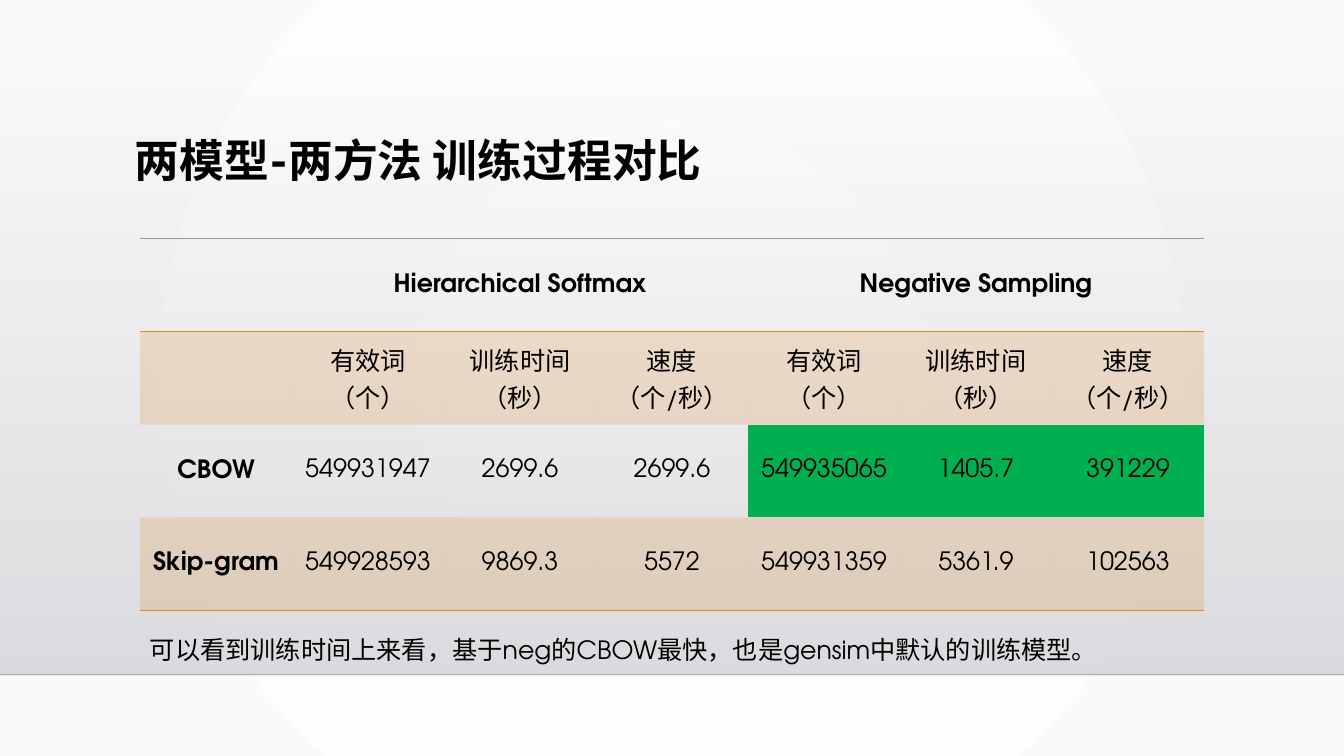
from lxml import etree
from pptx import Presentation
from pptx import util as u
from pptx.dml.color import RGBColor
from pptx.enum import shapes, text
from pptx.oxml import parse_xml
from pptx.oxml.ns import nsdecls, qn

BLACK = RGBColor(0x00, 0x00, 0x00)
HORIZON = RGBColor(0x00, 0x00, 0x01)
WHITE = RGBColor(0xFF, 0xFF, 0xFF)
PAPER = RGBColor(0xFA, 0xFA, 0xFA)
MIST = RGBColor(0xDC, 0xDC, 0xE0)
MIST_DEEP = RGBColor(0xDE, 0xDE, 0xE2)
GREY = RGBColor(0x99, 0x99, 0x99)
ORANGE = RGBColor(0xDF, 0x88, 0x22)
GREEN = RGBColor(0x00, 0xB0, 0x50)

WIDTH, HEIGHT = 33.87, 19.05
PLAIN_TABLE = "{2D5ABB26-0587-4C30-8999-92F81FD0307C}"
CIRCLE = ('<a:path path="circle"><a:fillToRect l="50000" t="50000" '
          'r="50000" b="50000"/></a:path>')
DOWNWARD = '<a:lin ang="5400000" scaled="0"/>'


def set_alpha(fill_parent, percent):
    color = next(fill_parent.iter(qn("a:srgbClr")))
    etree.SubElement(color, qn("a:alpha"), val=str(percent * 1000))


class SlideBuilder:
    font = "TeX Gyre Adventor"
    size = 18

    def __init__(self, prs):
        self.slide = prs.slides.add_slide(prs.slide_layouts[6])

    def style(self, frame, size=None, bold=False):
        for paragraph in frame.paragraphs:
            for run in paragraph.runs:
                run.font.name = self.font
                run.font.size = u.Pt(size or self.size)
                run.font.bold = bold
                run.font.color.rgb = BLACK

    def gradient(self, fill, parent, start, end, direction, start_alpha=100):
        """Replace the fill of parent with a two-stop gradient."""
        fill.solid()
        solid = parent.find(qn("a:solidFill"))
        parent.replace(solid, parse_xml(
            f'<a:gradFill {nsdecls("a")} rotWithShape="1"><a:gsLst>'
            f'<a:gs pos="0"><a:srgbClr val="{start}">'
            f'<a:alpha val="{start_alpha * 1000}"/></a:srgbClr></a:gs>'
            f'<a:gs pos="100000"><a:srgbClr val="{end}"/></a:gs>'
            f'</a:gsLst>{direction}</a:gradFill>'))

    def background(self, start, end):
        fill = self.slide.background.fill
        fill.solid()
        parent = next(self.slide.element.iter(qn("p:bgPr")))
        self.gradient(fill, parent, start, end, CIRCLE)

    def wall(self, top, height):
        wall = self.slide.shapes.add_shape(
            shapes.MSO_SHAPE.RECTANGLE, 0, u.Cm(top), u.Cm(WIDTH), u.Cm(height))
        wall.shadow.inherit = False
        wall.line.fill.background()
        self.gradient(wall.fill, wall.element.spPr, MIST, MIST_DEEP, DOWNWARD, 0)

    def rule(self, y):
        rule = self.slide.shapes.add_connector(
            shapes.MSO_CONNECTOR.STRAIGHT, 0, u.Cm(y), u.Cm(WIDTH), u.Cm(y))
        rule.line.color.rgb = HORIZON
        rule.line.width = u.Pt(1)
        properties = rule.element.spPr
        set_alpha(properties, 20)
        etree.SubElement(properties, qn("a:effectLst"))

    def textbox(self, words, left, top, width, height, size=None, bold=False,
                anchor=text.MSO_ANCHOR.TOP, spacing=None):
        box = self.slide.shapes.add_textbox(
            u.Cm(left), u.Cm(top), u.Cm(width), u.Cm(height))
        frame = box.text_frame
        frame.word_wrap = True
        frame.vertical_anchor = anchor
        frame.text = words
        frame.paragraphs[0].line_spacing = spacing
        self.style(frame, size, bold)
        return frame

    def table(self, rows, left, top, column_width, row_height):
        count = len(rows[0])
        table = self.slide.shapes.add_table(
            len(rows), count, u.Cm(left), u.Cm(top),
            u.Cm(column_width * count), u.Cm(row_height * len(rows))).table
        next(table._tbl.iter(qn("a:tableStyleId"))).text = PLAIN_TABLE
        for column in table.columns:
            column.width = u.Cm(column_width)
        for row in table.rows:
            row.height = u.Cm(row_height)
        for r, row in enumerate(rows):
            for c, words in enumerate(row):
                self.cell(table.cell(r, c), words, bold=r == 0 or c == 0)
        return table

    def cell(self, cell, words, bold):
        cell.vertical_anchor = text.MSO_ANCHOR.MIDDLE
        cell.fill.background()
        if words:
            cell.text = words
            self.style(cell.text_frame, bold=bold)
            for paragraph in cell.text_frame.paragraphs:
                paragraph.alignment = text.PP_ALIGN.CENTER

    def border(self, row, side, color):
        for position, cell in enumerate(row.cells):
            properties = cell._tc.get_or_add_tcPr()
            line = parse_xml(
                f'<a:{side} {nsdecls("a")} w="12700"><a:solidFill>'
                f'<a:srgbClr val="{color}"/></a:solidFill></a:{side}>')
            # Borders stand before the fill
            properties.insert(len(properties) - 1, line)

    def shade(self, cells, color, alpha=None):
        for cell in cells:
            cell.fill.solid()
            cell.fill.fore_color.rgb = color
            if alpha:
                set_alpha(cell._tc.tcPr.find(qn("a:solidFill")), alpha)


def main():
    prs = Presentation()
    prs.slide_width, prs.slide_height = u.Cm(WIDTH), u.Cm(HEIGHT)
    page = SlideBuilder(prs)

    # Backdrop
    page.background(WHITE, PAPER)
    page.wall(1.3, 15.7)
    page.rule(17)

    # Title
    page.textbox("两模型-两方法 训练过程对比", 3.15, 2.64, 26.67, 2.92, size=32,
                 bold=True, anchor=text.MSO_ANCHOR.MIDDLE, spacing=0.9)

    # Training comparison
    measures = ["有效词\n（个）", "训练时间（秒）", "速度\n（个/秒）"]
    comparison = page.table([
        ["", "Hierarchical Softmax", "", "", "Negative Sampling", "", ""],
        [""] + measures * 2,
        ["CBOW", "549931947", "2699.6", "2699.6", "549935065", "1405.7", "391229"],
        ["Skip-gram", "549928593", "9869.3", "5572", "549931359", "5361.9", "102563"],
    ], 3.53, 6.02, 3.83, 2.34)
    for first in (1, 4):
        comparison.cell(0, first).merge(comparison.cell(0, first + 2))
    methods, headings, cbow, skip_gram = comparison.rows
    for band in (headings, skip_gram):
        page.shade(band.cells, ORANGE, alpha=20)
    page.shade(list(cbow.cells)[4:], GREEN)
    page.border(methods, "lnT", GREY)
    page.border(methods, "lnB", ORANGE)
    page.border(skip_gram, "lnB", ORANGE)

    # Conclusion
    conclusion = page.textbox(
        "可以看到训练时间上来看，基于neg的CBOW最快，也是gensim中默认的训练模型。",
        3.53, 15.85, 24.64, 1.02)
    conclusion.auto_size = text.MSO_AUTO_SIZE.SHAPE_TO_FIT_TEXT

    prs.save("out.pptx")


if __name__ == "__main__":
    main()
